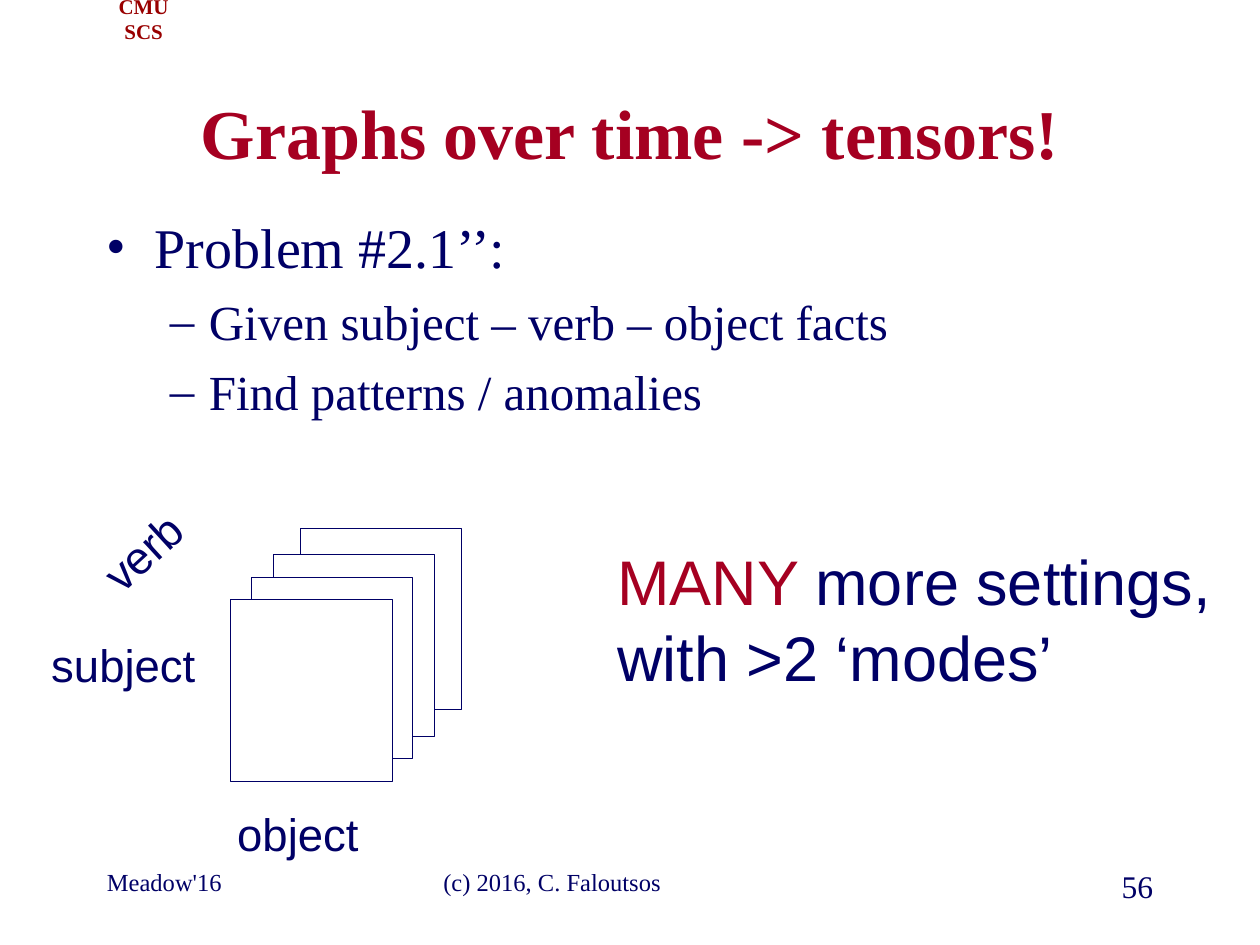
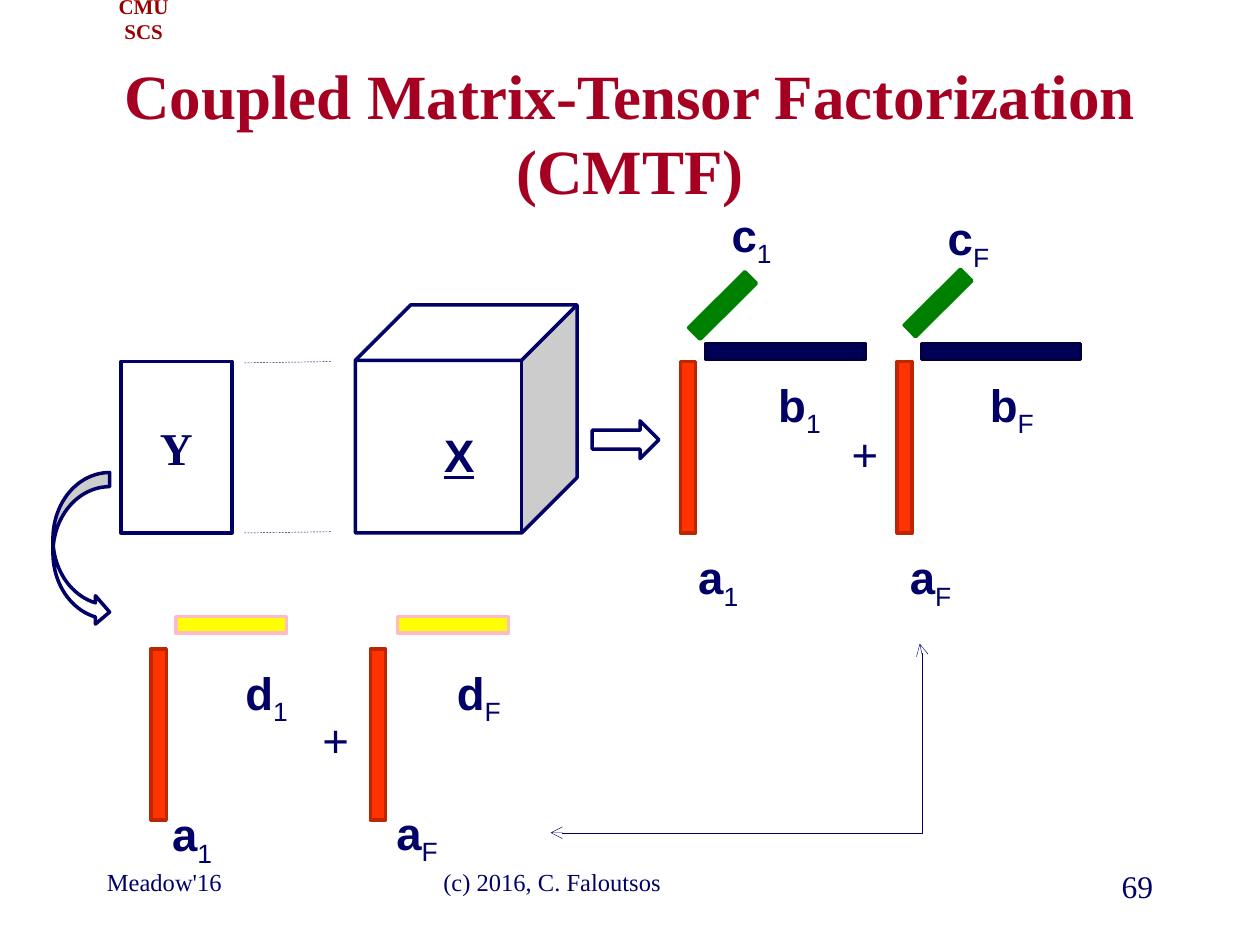
from pptx import Presentation
from pptx.dml.color import RGBColor
from pptx.enum.dml import MSO_LINE
from pptx.enum.shapes import MSO_CONNECTOR, MSO_SHAPE
from pptx.enum.text import MSO_ANCHOR, MSO_AUTO_SIZE, PP_ALIGN
from pptx.oxml.ns import qn
from pptx.util import Inches, Pt
from lxml.etree import SubElement

NAVY = RGBColor(0x00, 0x00, 0x66)
CRIMSON = RGBColor(0xA5, 0x00, 0x21)
MAROON = RGBColor(0x99, 0x00, 0x00)
WHITE = RGBColor(0xFF, 0xFF, 0xFF)
ORANGE = RGBColor(0xFF, 0x33, 0x00)
RUST = RGBColor(0xBD, 0x26, 0x00)
YELLOW = RGBColor(0xFF, 0xFF, 0x00)
PINK = RGBColor(0xFF, 0xBA, 0xC8)
INDIGO = RGBColor(0x00, 0x00, 0x56)
MIDNIGHT = RGBColor(0x00, 0x00, 0x40)
GREEN = RGBColor(0x00, 0x80, 0x00)
SERIF, SANS = "Times New Roman", "Arial"
COLS, ROWS = 100, 75


class Deck:
    def __init__(self):
        self.show = Presentation()
        self.show.slide_width = Inches(10)
        self.show.slide_height = Inches(7.5)
        self.col = self.show.slide_width / COLS
        self.row = self.show.slide_height / ROWS
        self.slide = None

    def grid(self, *spot):
        units = (self.col, self.row) * 2
        return [round(n * unit) for n, unit in zip(spot, units)]

    def page(self, title, size, number):
        self.slide = self.show.slides.add_slide(self.show.slide_layouts[6])
        self.text((6.7, 0, 9.4, 3), "CMU SCS", 12, ink=MAROON, bold=True,
                  wrap=False, middle=True)
        self.text((7.5, 6.7, 85, 7.5), title, size, ink=CRIMSON, bold=True,
                  middle=True)
        self.text((7.5, 68.3, 20.8, 5), "Meadow'16", 14, side=PP_ALIGN.LEFT)
        self.text((34.2, 68.3, 31.7, 5), "(c) 2016, C. Faloutsos", 14,
                  side=PP_ALIGN.LEFT)
        self.text((71.7, 68.3, 20.8, 5), number, 18, side=PP_ALIGN.RIGHT)

    def style(self, run, size, face, ink, bold=False):
        font = run.font
        font.size, font.name, font.bold = Pt(size), face, bold
        font.color.rgb = ink

    def text(self, spot, words, size, face=SERIF, ink=NAVY, bold=False,
             side=PP_ALIGN.CENTER, wrap=True, middle=False):
        box = self.slide.shapes.add_textbox(*self.grid(*spot))
        frame = box.text_frame
        frame.word_wrap = wrap
        if not wrap:
            frame.auto_size = MSO_AUTO_SIZE.SHAPE_TO_FIT_TEXT
        frame.vertical_anchor = MSO_ANCHOR.MIDDLE if middle else MSO_ANCHOR.TOP
        frame.text = words
        for para in frame.paragraphs:
            para.alignment = side
            for run in para.runs:
                self.style(run, size, face, ink, bold)
        return box

    def extend(self, para, words, size):
        run = para.add_run()
        run.text = words
        self.style(run, size, SANS, NAVY)
        return run

    def label(self, spot, words, bold=False, wrap=False):
        return self.text(spot, words, 26, SANS, bold=bold, wrap=wrap)

    def factor(self, spot, letter, index):
        box = self.label(spot, letter, True, True)
        run = self.extend(box.text_frame.paragraphs[0], index, 26)
        run._r.get_or_add_rPr().set("baseline", "-25000")

    def bullets(self, spot, items):
        box = self.slide.shapes.add_textbox(*self.grid(*spot))
        frame = box.text_frame
        frame.word_wrap = True
        frame.text = "\n".join(words for level, words in items)
        looks = [("•", 32, 0.38, 0.38), ("–", 28, 0.81, 0.31)]
        for i, (para, (level, words)) in enumerate(zip(frame.paragraphs, items)):
            mark, size, left, hang = looks[level]
            para.level = level
            if i:
                para.space_before = Pt(6.5)
            props = para._p.get_or_add_pPr()
            props.set("marL", str(Inches(left)))
            props.set("indent", str(-Inches(hang)))
            SubElement(props, qn("a:buFont")).set("typeface", SERIF)
            SubElement(props, qn("a:buChar")).set("char", mark)
            self.style(para.runs[0], size, SERIF, NAVY)

    def shape(self, kind, spot, fill=WHITE, edge=NAVY, width=2, turn=0):
        item = self.slide.shapes.add_shape(kind, *self.grid(*spot))
        item.shadow.inherit = False
        item.fill.solid()
        item.fill.fore_color.rgb = fill
        item.line.color.rgb = edge
        item.line.width = Pt(width)
        item.rotation = turn
        return item

    def bar(self, spot, fill, edge, turn=0):
        return self.shape(MSO_SHAPE.RECTANGLE, spot, fill, edge, turn=turn)

    def link(self, ends, kind=MSO_CONNECTOR.STRAIGHT):
        line = self.slide.shapes.add_connector(kind, *self.grid(*ends))
        line.line.color.rgb = NAVY
        line.line.width = Pt(0.25)
        SubElement(line._element.spPr, qn("a:effectLst"))
        return line

    def dash(self, ends):
        self.link(ends).line.dash_style = MSO_LINE.DASH

    def elbow(self, ends, bend):
        line = self.link(ends, MSO_CONNECTOR.ELBOW)
        guide = SubElement(line._element.spPr.find(".//" + qn("a:avLst")),
                           qn("a:gd"))
        guide.set("name", "adj1")
        guide.set("fmla", f"val {round(bend * 100000)}")
        stroke = line.line._get_or_add_ln()
        for end in ("a:headEnd", "a:tailEnd"):
            SubElement(stroke, qn(end)).set("type", "arrow")


def tensors(deck):
    deck.page("Graphs over time -> tensors!", 40, "56")
    deck.bullets((7.5, 16.4, 85, 50), [
        (0, "Problem #2.1’’:"),
        (1, "Given subject – verb – object facts"),
        (1, "Find patterns / anomalies")])
    for left, top in [(23.8, 41.9), (21.7, 44), (19.9, 45.8), (18.3, 47.6)]:
        deck.shape(MSO_SHAPE.RECTANGLE, (left, top, 12.8, 14.4), width=0.25)
    deck.label((17.8, 63.5, 11.7, 5.4), "object")
    deck.label((3, 50.1, 13.6, 5.4), "subject")
    deck.label((6.7, 41.1, 9.3, 5.4), "verb").rotation = 317.5
    box = deck.text((48, 42.6, 49.8, 13.1), "MANY \nwith >2 ‘modes’", 36,
                    SANS, side=PP_ALIGN.JUSTIFY, wrap=False)
    first = box.text_frame.paragraphs[0]
    first.runs[0].font.color.rgb = CRIMSON
    deck.extend(first, "more settings,", 36)


def coupled(deck):
    deck.page("Coupled Matrix-Tensor Factorization (CMTF)", 36, "69")
    deck.shape(MSO_SHAPE.CUBE, (28.2, 24.2, 17.6, 18.1))
    matrix = deck.shape(MSO_SHAPE.RECTANGLE, (9.6, 28.7, 8.8, 13.6))
    frame = matrix.text_frame
    frame.text = "Y"
    frame.vertical_anchor = MSO_ANCHOR.MIDDLE
    frame.paragraphs[0].alignment = PP_ALIGN.CENTER
    deck.style(frame.paragraphs[0].runs[0], 26, SERIF, NAVY, True)
    tensor = deck.label((33.5, 33.4, 5.9, 4), "X", True, True)
    tensor.text_frame.paragraphs[0].runs[0].font.underline = True
    deck.shape(MSO_SHAPE.RIGHT_ARROW, (47, 33.4, 5.3, 3))
    deck.shape(MSO_SHAPE.CURVED_RIGHT_ARROW, (4.2, 37.5, 4.5, 12.2))

    for left, top in [(12, 51.5), (29.4, 51.5), (54, 28.7), (71.2, 28.7)]:
        deck.bar((left, top, 1.2, 13.6), ORANGE, RUST)
    for left in (13.95, 31.55):
        deck.bar((left, 48.95, 8.8, 1.3), YELLOW, PINK)
    for left in (56.05, 73.15):
        deck.bar((left, 27.25, 12.6, 1.3), INDIGO, MIDNIGHT)
    for left, top in [(56.7, 21.1), (73.8, 20.9)]:
        deck.bar((left, top, 1.3, 6.3), GREEN, GREEN, 45.2)

    for letter, index, left, top, width in [
            ("a", "1", 53.6, 43.1, 6.8), ("a", "F", 69.9, 43.1, 7.9),
            ("b", "1", 58.6, 29.4, 9.7), ("b", "F", 75.8, 29.4, 9),
            ("c", "1", 55.8, 15.9, 7.7), ("c", "F", 72.4, 16.2, 8.9),
            ("a", "1", 11.6, 63.5, 7.3), ("a", "F", 29.1, 63.4, 8),
            ("d", "1", 17.5, 52.3, 7.3), ("d", "F", 34.7, 52.3, 6.6)]:
        deck.factor((left, top, width, 5.4), letter, index)
    for left, top in [(66.6, 33.3), (24.6, 56)]:
        deck.label((left, top, 4.1, 5.4), "+")

    deck.elbow((43.7, 66.1, 73, 51.1), 1.006)
    for top in (28.8, 42.3):
        deck.dash((19.4, top, 26.3, top - 0.1))


def main():
    deck = Deck()
    tensors(deck)
    coupled(deck)
    deck.show.save("out.pptx")


if __name__ == "__main__":
    main()
